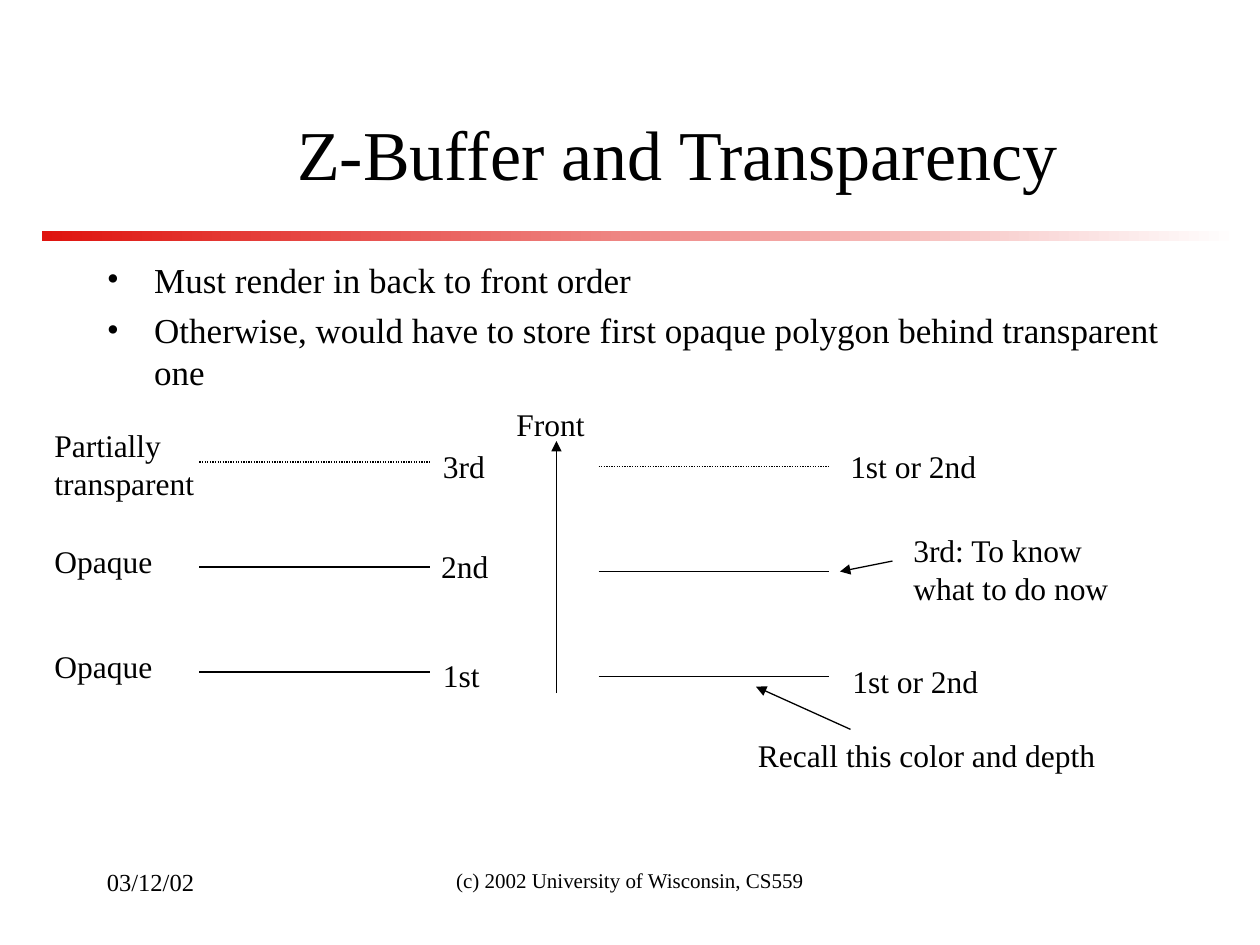
import pptx
import pptx.util
import pptx.dml.color
import pptx.enum.dml
import pptx.enum.shapes
import pptx.enum.text
import pptx.oxml.ns
import lxml.etree

Pt = pptx.util.Pt
ALIGN = pptx.enum.text.PP_ALIGN
ANCHOR = pptx.enum.text.MSO_ANCHOR
COLORS = {"ink": "000000", "paper": "FFFFFF", "red": "DF140F"}
FONT = "Times New Roman"


def color(name):
    """Return the named colour."""
    return pptx.dml.color.RGBColor.from_string(COLORS[name])


def add_child(parent, tag, **attributes):
    """Append a DrawingML element to the parent."""
    return lxml.etree.SubElement(parent, pptx.oxml.ns.qn(tag), attributes)


def write_text(shape, *texts, size=18, align=ALIGN.LEFT, anchor=ANCHOR.TOP,
               wrap=True, bullet=False, space_before=0):
    """Write one paragraph per text in the given format."""
    frame = shape.text_frame
    frame.word_wrap = wrap
    frame.vertical_anchor = anchor
    frame.auto_size = pptx.enum.text.MSO_AUTO_SIZE.NONE
    for index, text in enumerate(texts):
        paragraph = frame.paragraphs[0] if index == 0 else frame.add_paragraph()
        paragraph.alignment = align
        paragraph.space_before = Pt(space_before)
        run = paragraph.add_run()
        run.text = text
        run.font.name = FONT
        run.font.size = Pt(size)
        run.font.color.rgb = color("ink")
        if bullet:
            properties = paragraph._p.get_or_add_pPr()
            properties.set("marL", str(Pt(27)))
            properties.set("indent", str(Pt(-27)))
            add_child(properties, "a:buFont", typeface=FONT)
            add_child(properties, "a:buChar", char="•")


def add_text(slide, left, top, width, height, *texts, **text_format):
    """Add a text box."""
    box = slide.shapes.add_textbox(Pt(left), Pt(top), Pt(width), Pt(height))
    write_text(box, *texts, **text_format)


def add_line(slide, start, end, dotted=False, arrow=False):
    """Add a thin straight line, dotted or with an arrowhead at its end."""
    line = slide.shapes.add_connector(
        pptx.enum.shapes.MSO_CONNECTOR.STRAIGHT, *map(Pt, start + end))
    line.line.color.rgb = color("ink")
    line.line.width = Pt(0.74)
    if dotted:
        line.line.dash_style = pptx.enum.dml.MSO_LINE.ROUND_DOT
    if arrow:
        add_child(line.line._get_or_add_ln(), "a:tailEnd", type="triangle")
    add_child(line._element.spPr, "a:effectLst")


def add_title(slide, text):
    """Place the title above a bar that fades from red to white."""
    bar = slide.shapes.add_shape(pptx.enum.shapes.MSO_SHAPE.RECTANGLE,
                                 Pt(24), Pt(132), Pt(684), Pt(6))
    bar.shadow.inherit = False
    bar.line.fill.background()
    bar.fill.gradient()
    bar.fill.gradient_angle = 0
    for stop, name in zip(bar.fill.gradient_stops, ("red", "paper")):
        stop.color.rgb = color(name)
    title = slide.shapes.title
    title.left, title.top, title.width, title.height = map(Pt, (96, 48, 582, 78))
    write_text(title, text, size=40, align=ALIGN.CENTER, anchor=ANCHOR.MIDDLE)


def add_polygons(slide, left, top):
    """Add three polygons seen edge-on, the front one transparent."""
    for row in range(3):
        height = top + 60 * row
        add_line(slide, (left, height), (left + 132, height), dotted=row == 0)


def main():
    """Build the slide and save it."""
    presentation = pptx.Presentation()
    presentation.slide_width, presentation.slide_height = Pt(720), Pt(540)
    slide = presentation.slides.add_slide(presentation.slide_layouts[5])
    add_title(slide, "Z-Buffer and Transparency")
    add_text(slide, 54, 144, 624, 106, "Must render in back to front order",
             "Otherwise, would have to store first opaque polygon behind transparent one",
             size=20, bullet=True, space_before=5)

    add_polygons(slide, 114, 264)
    add_polygons(slide, 342, 266.6)
    for top, height, text in ((240, 50.4, "Partially transparent"),
                              (306, 28.8, "Opaque"), (366, 28.8, "Opaque")):
        add_text(slide, 24, top, 102, height, text)
    for left, top, width, text in (
            (246, 371.5, 35, "1st"), (245, 308.8, 41, "2nd"), (246, 252, 38, "3rd"),
            (288, 228, 53, "Front"), (478.8, 252, 86, "1st or 2nd"),
            (480, 374.6, 86, "1st or 2nd"),
            (426, 416.8, 207, "Recall this color and depth")):
        add_text(slide, left, top, width, 28.8, text, wrap=False)
    add_text(slide, 514.8, 300, 145.4, 50.4, "3rd: To know what to do now")
    for start, end in (((318, 396), (318, 252)), ((486, 416.8), (432, 392.4)),
                       ((510, 320.6), (480, 326.6))):
        add_line(slide, start, end, arrow=True)

    add_text(slide, 246, 492, 228, 36, "(c) 2002 University of Wisconsin, CS559",
             size=12, align=ALIGN.CENTER)
    add_text(slide, 54, 492, 150, 36, "03/12/02", size=14)
    presentation.save("out.pptx")


main()
